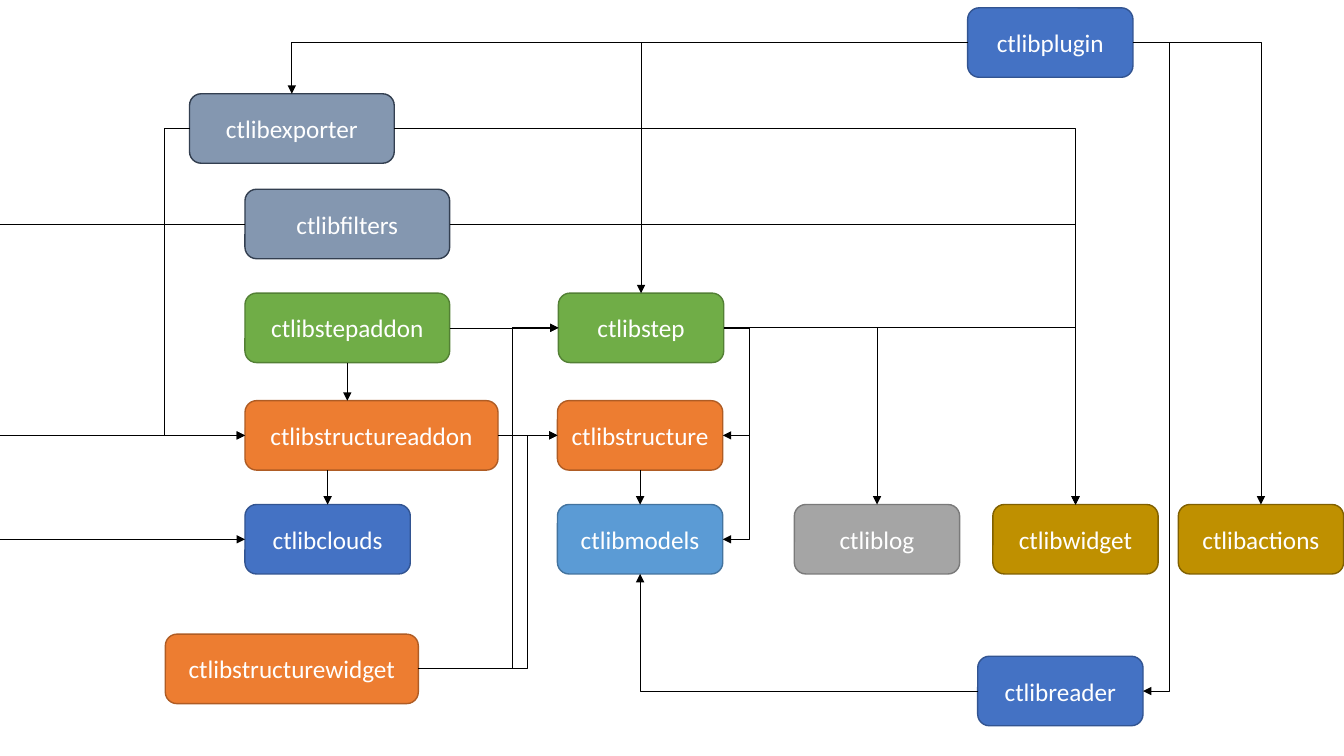
from dataclasses import dataclass

import pptx
import pptx.dml.color
import pptx.enum.shapes
import pptx.enum.text
import pptx.oxml.ns
import pptx.oxml.xmlchemy
import pptx.util
from pptx.util import Pt

TOP, LEFT, BOTTOM, RIGHT = range(4)


@dataclass(frozen=True)
class Box:
    left: float
    top: float
    width: float
    height: float


class Theme:
    font = "Calibri"
    text_size = 18
    text = "FFFFFF"
    wire = "000000"
    wire_width = 0.5
    outline_width = 1
    # fill, outline
    sky = ("5B9BD5", "43739E")
    orange = ("ED7D31", "AF5C24")
    green = ("70AD47", "538035")
    gray = ("A5A5A5", "7A7A7A")
    blue = ("4472C4", "325491")
    gold = ("BF9000", "806000")
    slate = ("8497B0", "333F50")


NARROW, MEDIUM, WIDE = 118.1, 146.2, 180.7
NODE_HEIGHT = 49.6
ADDON_LEFT, CORE_LEFT = 175, 398.2
STEP_TOP, STRUCTURE_TOP, BASE_TOP = 209.4, 286.2, 360.4

# name: left, top, width, colours
LIBRARIES = {
    "ctlibplugin": (691.2, 5.6, NARROW, Theme.blue),
    "ctlibexporter": (135.4, 67, MEDIUM, Theme.slate),
    "ctlibfilters": (ADDON_LEFT, 135.2, MEDIUM, Theme.slate),
    "ctlibstepaddon": (ADDON_LEFT, STEP_TOP, MEDIUM, Theme.green),
    "ctlibstep": (398.9, STEP_TOP, NARROW, Theme.green),
    "ctlibstructureaddon": (ADDON_LEFT, STRUCTURE_TOP, WIDE, Theme.orange),
    "ctlibstructure": (CORE_LEFT, STRUCTURE_TOP, NARROW, Theme.orange),
    "ctlibclouds": (ADDON_LEFT, BASE_TOP, NARROW, Theme.blue),
    "ctlibmodels": (CORE_LEFT, BASE_TOP, NARROW, Theme.sky),
    "ctliblog": (567.4, BASE_TOP, NARROW, Theme.gray),
    "ctlibwidget": (709.2, BASE_TOP, NARROW, Theme.gold),
    "ctlibactions": (841.7, BASE_TOP, NARROW, Theme.gold),
    "ctlibstructurewidget": (118.1, 453, WIDE, Theme.orange),
    "ctlibreader": (698.4, 468.8, NARROW, Theme.blue),
}

STRAIGHT = [
    ("ctlibstructure", BOTTOM, "ctlibmodels", TOP),
    ("ctlibstructureaddon", RIGHT, "ctlibstructure", LEFT),
    ("ctlibstepaddon", RIGHT, "ctlibstep", LEFT),
]

CORNERS = [
    ("ctlibstep", RIGHT, "ctliblog", TOP),
    ("ctlibstep", RIGHT, "ctlibwidget", TOP),
    ("ctlibfilters", RIGHT, "ctlibwidget", TOP),
    ("ctlibexporter", RIGHT, "ctlibwidget", TOP),
    ("ctlibplugin", LEFT, "ctlibexporter", TOP),
    ("ctlibplugin", LEFT, "ctlibstep", TOP),
    ("ctlibplugin", RIGHT, "ctlibactions", TOP),
    ("ctlibreader", LEFT, "ctlibmodels", BOTTOM),
]

# the last value is the horizontal position of the vertical run
LANES = [
    ("ctlibstep", RIGHT, "ctlibmodels", RIGHT, 535),
    ("ctlibstep", RIGHT, "ctlibstructure", RIGHT, 535),
    ("ctlibexporter", LEFT, "ctlibstructureaddon", LEFT, 117.4),
    ("ctlibstructurewidget", RIGHT, "ctlibstructure", LEFT, 376.6),
    ("ctlibstructurewidget", RIGHT, "ctlibstep", LEFT, 365.8),
    ("ctlibplugin", RIGHT, "ctlibreader", RIGHT, 835.2),
]


def color(value):
    return pptx.dml.color.RGBColor.from_string(value)


def add_node(slide, box, name, colors):
    shape = slide.shapes.add_shape(
        pptx.enum.shapes.MSO_SHAPE.ROUNDED_RECTANGLE,
        Pt(box.left), Pt(box.top), Pt(box.width), Pt(box.height))
    shape.shadow.inherit = False
    fill, outline = colors
    shape.fill.solid()
    shape.fill.fore_color.rgb = color(fill)
    shape.line.color.rgb = color(outline)
    shape.line.width = Pt(Theme.outline_width)
    frame = shape.text_frame
    frame.text = name
    frame.vertical_anchor = pptx.enum.text.MSO_ANCHOR.MIDDLE
    paragraph = frame.paragraphs[0]
    paragraph.alignment = pptx.enum.text.PP_ALIGN.CENTER
    font = paragraph.runs[0].font
    font.name = Theme.font
    font.size = Pt(Theme.text_size)
    font.color.rgb = color(Theme.text)
    return shape


def add_wire(slide, begin, end, kind="STRAIGHT", arrow=True):
    connector = slide.shapes.add_connector(
        pptx.enum.shapes.MSO_CONNECTOR[kind], *begin, *end)
    connector.line.color.rgb = color(Theme.wire)
    connector.line.width = Pt(Theme.wire_width)
    properties = connector.element.spPr
    if arrow:
        line = properties.find(pptx.oxml.ns.qn("a:ln"))
        head = pptx.oxml.xmlchemy.OxmlElement("a:tailEnd")
        head.set("type", "triangle")
        line.append(head)
    properties.append(pptx.oxml.xmlchemy.OxmlElement("a:effectLst"))
    return connector


def join(slide, nodes, source, source_side, target, target_side, kind="STRAIGHT"):
    connector = add_wire(slide, (0, 0), (0, 0), kind)
    connector.begin_connect(nodes[source], source_side)
    connector.end_connect(nodes[target], target_side)
    return connector


def bend_once(connector):
    """Turn an elbow into one horizontal run followed by one vertical run."""
    geometry = connector.element.spPr.find(pptx.oxml.ns.qn("a:prstGeom"))
    geometry.set("prst", "bentConnector2")


def move_lane(connector, lane):
    """Place the vertical run of an elbow at the horizontal position lane."""
    share = (lane - connector.begin_x) / (connector.end_x - connector.begin_x)
    guide = pptx.oxml.xmlchemy.OxmlElement("a:gd")
    guide.set("name", "adj1")
    guide.set("fmla", f"val {round(share * 100000)}")
    connector.element.spPr.find(".//" + pptx.oxml.ns.qn("a:avLst")).append(guide)


def draw_libraries(slide, box):
    return {
        name: add_node(slide, Box(box.left + left, box.top + top, width, NODE_HEIGHT),
                       name, colors)
        for name, (left, top, width, colors) in LIBRARIES.items()
    }


def draw_dependencies(slide, box, nodes):
    for ends in STRAIGHT:
        join(slide, nodes, *ends)
    for ends in CORNERS:
        bend_once(join(slide, nodes, *ends, "ELBOW"))
    for *ends, lane in LANES:
        move_lane(join(slide, nodes, *ends, "ELBOW"), Pt(box.left + lane))

    addon, clouds = nodes["ctlibstructureaddon"], nodes["ctlibclouds"]
    step_addon = nodes["ctlibstepaddon"]
    middle = step_addon.left + step_addon.width // 2
    add_wire(slide, (middle, 0), (middle, addon.top)).begin_connect(step_addon, BOTTOM)
    middle = clouds.left + clouds.width // 2
    add_wire(slide, (middle, addon.top + addon.height),
             (middle, clouds.top)).end_connect(clouds, TOP)


def draw_edge_wires(slide, box, nodes):
    """Run the wires of ctlibfilters to and from the left edge of the box."""
    for name in ("ctlibfilters", "ctlibstructureaddon", "ctlibclouds"):
        node = nodes[name]
        start = (Pt(box.left), node.top + node.height // 2)
        wire = add_wire(slide, start, start, arrow=name != "ctlibfilters")
        wire.end_connect(node, LEFT)


def main():
    presentation = pptx.Presentation()
    page = Box(0, 0, 960, 540)
    presentation.slide_width = Pt(page.width)
    presentation.slide_height = Pt(page.height)
    slide = presentation.slides.add_slide(presentation.slide_layouts[6])
    nodes = draw_libraries(slide, page)
    draw_dependencies(slide, page, nodes)
    draw_edge_wires(slide, page, nodes)
    presentation.save("out.pptx")


if __name__ == "__main__":
    main()
